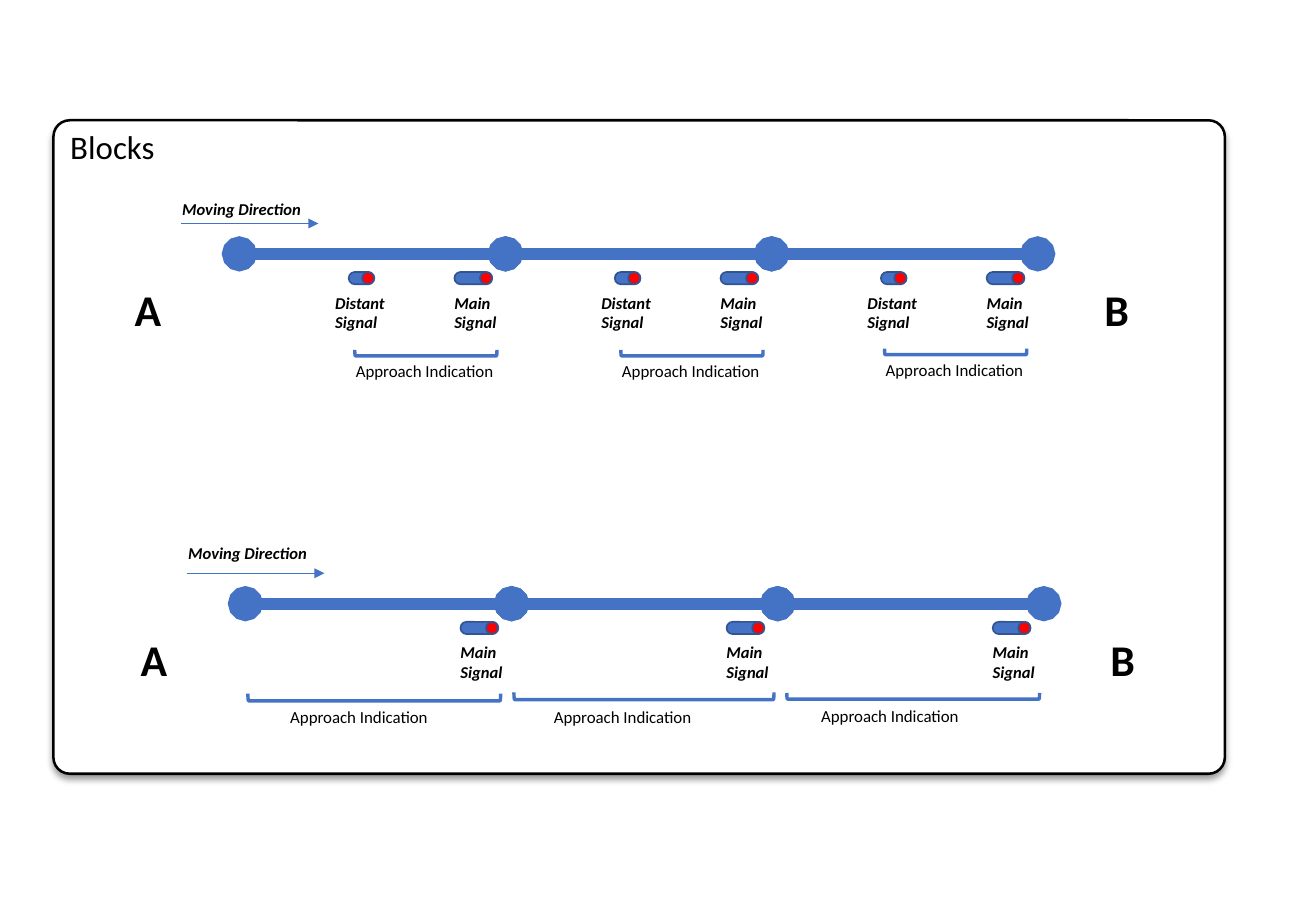
from dataclasses import dataclass

from lxml.etree import SubElement
from pptx import Presentation
from pptx.dml.color import RGBColor
from pptx.enum.shapes import MSO_CONNECTOR as Connector, MSO_SHAPE as Shape
from pptx.enum.text import MSO_AUTO_SIZE as AutoSize
from pptx.oxml.ns import qn
from pptx.util import Emu, Pt

PX = 9144  # 100 px to the inch
COLORS = {"black": "000000", "white": "FFFFFF", "track": "4472C4",
          "rim": "325491", "lamp": "FF0000"}
BLOCKS = 3
BLOCK_LENGTH = 219
LAMP = 10


@dataclass(frozen=True)
class Signal:
    """Offsets run from the start of the block."""
    name: str
    lamp_dx: int
    length: int
    label_dx: int
    label_width: int


@dataclass(frozen=True)
class Indication:
    left: int
    top: int
    width: int
    depth: int
    label_left: int
    label_top: int
    label_width: int
    wrap: bool


@dataclass(frozen=True)
class Track:
    left: int
    y: int
    heading_dy: int
    signals: tuple[Signal, ...]
    indications: tuple[Indication, ...]


DISTANT = Signal("Distant", 101, 21, 69, 61)
MAIN = Signal("Main", 198, 31, 167, 55)

TRACKS = (
    Track(197, 209, -50, (DISTANT, MAIN), (
        Indication(292, 288, 117, 5, 283, 292, 135, False),
        Indication(511, 288, 117, 5, 502, 292, 135, False),
        Indication(728, 287, 117, 5, 719, 291, 135, False),
    )),
    Track(202, 497, -55, (MAIN,), (
        Indication(204, 571, 208, 6, 229, 577, 139, True),
        Indication(423, 570, 214, 6, 446, 577, 146, True),
        Indication(648, 570, 208, 5, 666, 576, 140, True),
    )),
)


def px(length: int) -> Emu:
    return Emu(length * PX)


def color(name: str) -> RGBColor:
    return RGBColor.from_string(COLORS[name])


def add_text(slide, text: str, left: int, top: int, width: int, height: int, *,
             size: float, bold: bool = False, italic: bool = False,
             wrap: bool = False) -> None:
    box = slide.shapes.add_textbox(px(left), px(top), px(width), px(height))
    frame = box.text_frame
    frame.text = text
    frame.word_wrap = wrap
    frame.auto_size = AutoSize.SHAPE_TO_FIT_TEXT
    for paragraph in frame.paragraphs:
        for run in paragraph.runs:
            font = run.font
            font.name, font.size = "Calibri", Pt(size)
            font.bold, font.italic = bold, italic
            font.color.rgb = color("black")


def add_form(slide, kind: Shape, left: int, top: int, width: int, height: int, *,
             line: str, weight: float, fill: str | None = None,
             rounding: float | None = None):
    form = slide.shapes.add_shape(kind, px(left), px(top), px(width), px(height))
    form.shadow.inherit = False
    if fill:
        form.fill.solid()
        form.fill.fore_color.rgb = color(fill)
    else:
        form.fill.background()
    form.line.color.rgb = color(line)
    form.line.width = Pt(weight)
    if rounding is not None:
        form.adjustments[0] = rounding
    return form


def add_rail(slide, left: int, y: int, length: int, *, weight: float,
             tail: str, head: str | None = None) -> None:
    """Draw a level line; head and tail name the end marks."""
    rail = slide.shapes.add_connector(
        Connector.STRAIGHT, px(left), px(y), px(left + length), px(y))
    rail.line.color.rgb = color("track")
    rail.line.width = Pt(weight)
    outline = rail.line._ln
    if head:
        SubElement(outline, qn("a:headEnd"), type=head)
    SubElement(outline, qn("a:tailEnd"), type=tail)
    SubElement(rail._element.spPr, qn("a:effectLst"))


def add_panel(slide) -> None:
    panel = add_form(slide, Shape.ROUNDED_RECTANGLE, 44, 99, 964, 538,
                     line="black", weight=1.5, fill="white", rounding=0.025)
    effects = panel._element.spPr.find(qn("a:effectLst"))
    shadow = SubElement(effects, qn("a:outerShdw"), blurRad=str(Pt(4)),
                        dist=str(Pt(3)), dir="5400000", rotWithShape="0")
    tint = SubElement(shadow, qn("a:srgbClr"), val=COLORS["black"])
    SubElement(tint, qn("a:alpha"), val="40000")
    add_text(slide, "Blocks", 48, 99, 90, 43, size=19.5)


def add_signal(slide, signal: Signal, block_left: int, track_y: int) -> None:
    lamp_left, top = block_left + signal.lamp_dx, track_y + 15
    add_form(slide, Shape.ROUNDED_RECTANGLE, lamp_left + LAMP - signal.length, top,
             signal.length, LAMP, line="rim", weight=1, fill="track", rounding=0.483)
    add_form(slide, Shape.OVAL, lamp_left, top, LAMP, LAMP,
             line="rim", weight=1, fill="lamp")
    add_text(slide, f"{signal.name}\nSignal", block_left + signal.label_dx,
             track_y + 27, signal.label_width, 43, size=9.8, bold=True, italic=True)


def add_indication(slide, mark: Indication) -> None:
    """Draw a bracket, turned to open upwards, and its label."""
    turn = (mark.width - mark.depth) // 2
    bracket = add_form(slide, Shape.LEFT_BRACKET, mark.left + turn, mark.top - turn,
                       mark.depth, mark.width, line="track", weight=2)
    bracket.rotation = 270
    add_text(slide, "Approach Indication", mark.label_left, mark.label_top,
             mark.label_width, 27, size=10, wrap=mark.wrap)


def add_track(slide, track: Track) -> None:
    left, y = track.left, track.y
    add_text(slide, "Moving Direction", left - 57, y + track.heading_dy, 193, 27,
             size=9.8, bold=True, italic=True, wrap=True)
    add_rail(slide, left - 48, y - 25, 113, weight=0.5, tail="triangle")
    add_text(slide, "A", left - 96, y + 19, 42, 54, size=26, bold=True)
    add_text(slide, "B", left + 702, y + 19, 51, 54, size=26, bold=True, wrap=True)
    for block in range(BLOCKS):
        block_left = left + block * BLOCK_LENGTH
        add_rail(slide, block_left, y, BLOCK_LENGTH, weight=7, head="oval", tail="oval")
        for signal in track.signals:
            add_signal(slide, signal, block_left, y)
    for mark in track.indications:
        add_indication(slide, mark)


def main() -> None:
    deck = Presentation()
    deck.slide_width, deck.slide_height = px(1083), px(750)
    slide = deck.slides.add_slide(deck.slide_layouts[6])
    add_panel(slide)
    for track in TRACKS:
        add_track(slide, track)
    deck.save("out.pptx")


if __name__ == "__main__":
    main()
